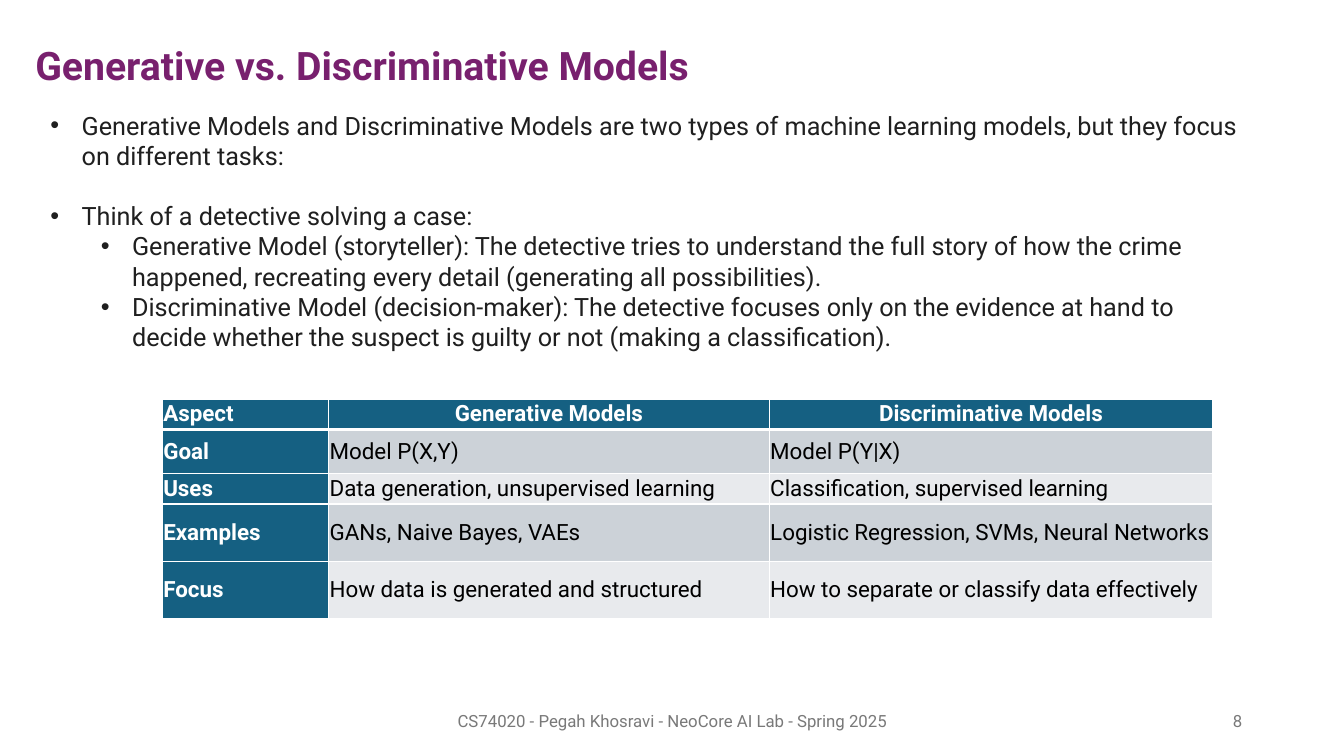
from dataclasses import dataclass

from lxml.etree import SubElement
from pptx import Presentation
from pptx.dml.color import RGBColor
from pptx.enum.text import MSO_ANCHOR as Anchor, MSO_AUTO_SIZE as AutoSize, PP_ALIGN as Align
from pptx.oxml import parse_xml
from pptx.oxml.ns import nsdecls, qn
from pptx.util import Emu, Pt

FONT = "Roboto"
PLUM, INK, GREY = "78206E", "1F1F1F", "797979"
TEAL, WHITE, BLACK = "156082", "FFFFFF", "000000"
BANDS = ("CCD2D8", "E8EAED")


@dataclass(frozen=True)
class Area:
    left: int
    top: int
    width: int
    height: int


@dataclass(frozen=True)
class Bullet:
    text: str
    level: int = 0
    gap_before: float = 0


@dataclass(frozen=True)
class Label:
    text: str
    area: Area
    align: Align


TITLE_AREA = Area(25, 36, 1201, 57)
BODY_AREA = Area(40, 104, 1201, 283)
TABLE_AREA = Area(161, 396, 1042, 218)
BULLETS = [
    Bullet("Generative Models and Discriminative Models are two types of machine learning "
           "models, but they focus on different tasks:"),
    Bullet("Think of a detective solving a case:", gap_before=21.5),
    Bullet("Generative Model (storyteller): The detective tries to understand the full story "
           "of how the crime happened, recreating every detail (generating all possibilities).", 1),
    Bullet("Discriminative Model (decision-maker): The detective focuses only on the evidence "
           "at hand to decide whether the suspect is guilty or not (making a classification).", 1),
]
COLUMN_WIDTHS = (165, 437, 440)
ROW_HEIGHTS = (30, 44, 30, 57, 57)
ROWS = [
    ("Aspect", "Generative Models", "Discriminative Models"),
    ("Goal", "Model P(X,Y)", "Model P(Y|X)"),
    ("Uses", "Data generation, unsupervised learning", "Classification, supervised learning"),
    ("Examples", "GANs, Naive Bayes, VAEs", "Logistic Regression, SVMs, Neural Networks"),
    ("Focus", "How data is generated and structured", "How to separate or classify data effectively"),
]
LABELS = [
    Label("CS74020 - Pegah Khosravi - NeoCore AI Lab - Spring 2025",
          Area(442, 695, 450, 40), Align.CENTER),
    Label("8", Area(942, 695, 300, 40), Align.RIGHT),
]


def px(length: int) -> Emu:
    """100 px make one inch."""
    return Emu(length * 9144)


def colour(value: str) -> RGBColor:
    return RGBColor.from_string(value)


def place(box, area: Area) -> None:
    box.left, box.top = px(area.left), px(area.top)
    box.width, box.height = px(area.width), px(area.height)


def set_frame(box, anchor: Anchor):
    frame = box.text_frame
    frame.word_wrap = True
    frame.auto_size = AutoSize.NONE
    frame.vertical_anchor = anchor
    return frame


def add_span(para, text: str, size: int, value: str, bold: bool = False) -> None:
    span = para.add_run()
    span.text = text
    span.font.name, span.font.size, span.font.bold = FONT, Pt(size), bold
    span.font.color.rgb = colour(value)


def add_title(page) -> None:
    box = page.shapes.title
    place(box, TITLE_AREA)
    para = set_frame(box, Anchor.TOP).paragraphs[0]
    para.alignment = Align.LEFT
    add_span(para, "Generative vs. Discriminative Models", 28, PLUM, True)


def add_bullets(page) -> None:
    box = page.placeholders[1]
    place(box, BODY_AREA)
    frame = set_frame(box, Anchor.TOP)
    for index, bullet in enumerate(BULLETS):
        para = frame.add_paragraph() if index else frame.paragraphs[0]
        para.level = bullet.level
        para.space_before = Pt(bullet.gap_before)
        add_span(para, bullet.text, 18, INK)
        # Hanging bullet
        props = para._p.get_or_add_pPr()
        props.set("marL", str(px(31 + 50 * bullet.level)))
        props.set("indent", str(px(-31)))
        SubElement(props, qn("a:buFont")).set("typeface", "Arial")
        SubElement(props, qn("a:buChar")).set("char", "•")


def set_borders(cell, top: int, bottom: int) -> None:
    props = cell._tc.get_or_add_tcPr()
    sides = {"lnL": 1, "lnR": 1, "lnT": top, "lnB": bottom}
    for index, (side, width) in enumerate(sides.items()):
        props.insert(index, parse_xml(
            f'<a:{side} {nsdecls("a")} w="{Pt(width)}"><a:solidFill>'
            f'<a:srgbClr val="{WHITE}"/></a:solidFill></a:{side}>'))


def add_comparison(page) -> None:
    area = TABLE_AREA
    table = page.shapes.add_table(len(ROWS), len(COLUMN_WIDTHS), px(area.left), px(area.top),
                                  px(area.width), px(area.height)).table
    for column, width in zip(table.columns, COLUMN_WIDTHS):
        column.width = px(width)
    for row, height in zip(table.rows, ROW_HEIGHTS):
        row.height = px(height)
    for r, texts in enumerate(ROWS):
        for c, text in enumerate(texts):
            cell = table.cell(r, c)
            heading = r == 0 or c == 0
            cell.vertical_anchor = Anchor.MIDDLE
            cell.margin_left = cell.margin_right = cell.margin_top = cell.margin_bottom = px(1)
            cell.fill.solid()
            cell.fill.fore_color.rgb = colour(TEAL if heading else BANDS[(r - 1) % 2])
            set_borders(cell, 3 if r == 1 else 1, 3 if r == 0 else 1)
            para = cell.text_frame.paragraphs[0]
            para.alignment = Align.CENTER if r == 0 and c > 0 else Align.LEFT
            add_span(para, text, 16, WHITE if heading else BLACK, heading)


def add_label(page, label: Label) -> None:
    area = label.area
    box = page.shapes.add_textbox(px(area.left), px(area.top), px(area.width), px(area.height))
    para = set_frame(box, Anchor.MIDDLE).paragraphs[0]
    para.alignment = label.align
    add_span(para, label.text, 12, GREY)


def main() -> None:
    deck = Presentation()
    deck.slide_width, deck.slide_height = px(1333), px(750)
    page = deck.slides.add_slide(deck.slide_layouts[1])
    # Footer and page number
    for label in LABELS:
        add_label(page, label)
    # Heading, explanation and comparison
    add_title(page)
    add_bullets(page)
    add_comparison(page)
    deck.save("out.pptx")


if __name__ == "__main__":
    main()
